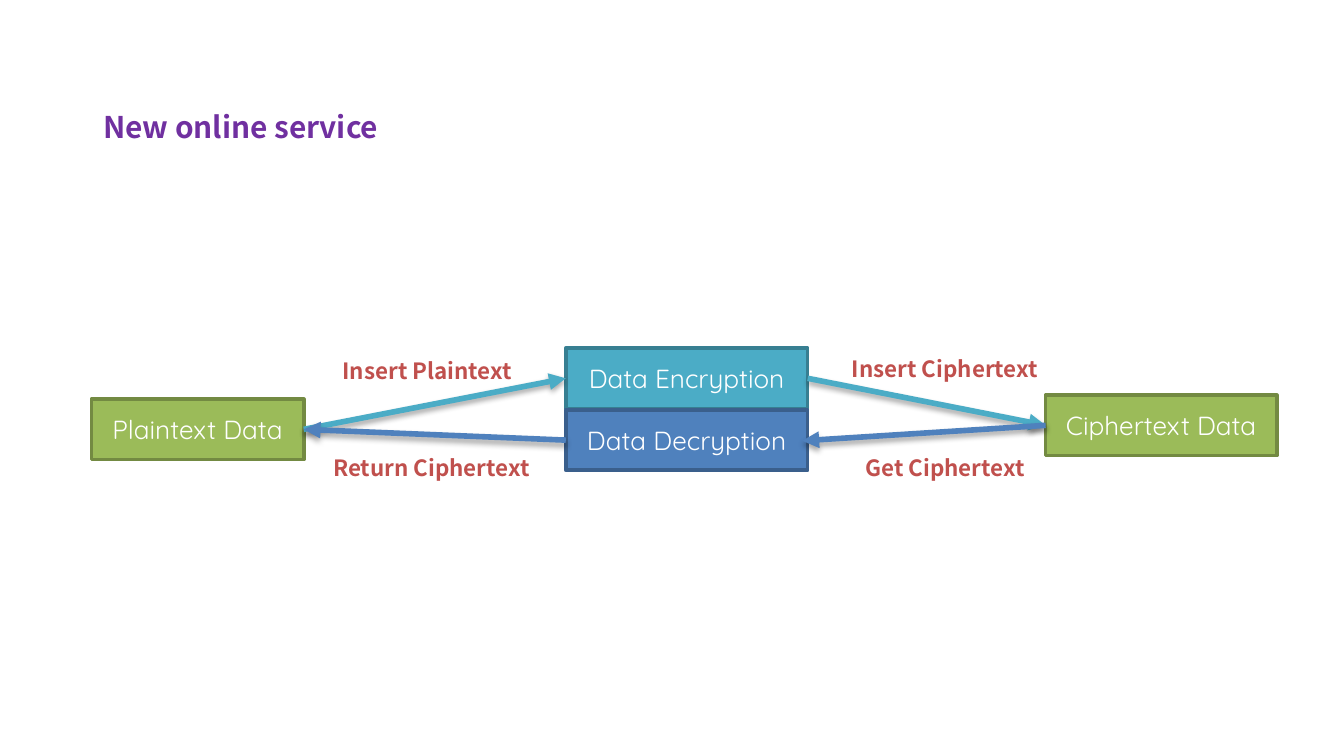
from lxml import etree
from pptx import Presentation
from pptx.dml.color import RGBColor
from pptx.enum.shapes import MSO_CONNECTOR as Connector, MSO_SHAPE as Shape
from pptx.enum.text import MSO_ANCHOR as Anchor, MSO_AUTO_SIZE as AutoSize, PP_ALIGN as Align
from pptx.oxml import parse_xml
from pptx.oxml.ns import nsdecls, qn
from pptx.util import Inches, Pt

WHITE = RGBColor(0xFF, 0xFF, 0xFF)
PURPLE = RGBColor(0x70, 0x30, 0xA0)
RED = RGBColor(0xC0, 0x50, 0x4D)
GREEN = RGBColor(0x9B, 0xBB, 0x59)
DARK_GREEN = RGBColor(0x73, 0x8A, 0x42)
TEAL = RGBColor(0x4B, 0xAC, 0xC6)
DARK_TEAL = RGBColor(0x37, 0x7F, 0x92)
BLUE = RGBColor(0x4F, 0x81, 0xBD)
DARK_BLUE = RGBColor(0x3A, 0x5F, 0x8C)

LEFT, RIGHT = 1, 3  # connection sites of a rectangle
BOX_HEIGHT = 0.45

ARROW_SHADOW = f"""<a:effectLst {nsdecls('a')}>
  <a:outerShdw blurRad="{Pt(3.1)}" dist="{Pt(1.8)}" dir="5400000" rotWithShape="0">
    <a:srgbClr val="000000"><a:alpha val="35000"/></a:srgbClr>
  </a:outerShdw>
</a:effectLst>"""


class FlowSlide:
    """The current slide and the style of its elements."""

    label_font = "Noto Sans CJK SC"
    box_font = "Quicksand"

    def __init__(self, deck):
        self.page = deck.slides.add_slide(deck.slide_layouts[6])

    def style_text(self, frame, text, font, size, color, bold=False):
        frame.text = text
        span = frame.paragraphs[0].runs[0]
        span.font.name = font
        span.font.size = Pt(size)
        span.font.bold = bold
        span.font.color.rgb = color

    def label(self, text, left, top, width, height=0.3, size=12, color=RED, wrap=False):
        box = self.page.shapes.add_textbox(
            Inches(left), Inches(top), Inches(width), Inches(height))
        frame = box.text_frame
        frame.word_wrap = wrap
        frame.auto_size = AutoSize.SHAPE_TO_FIT_TEXT
        self.style_text(frame, text, self.label_font, size, color, bold=True)

    def box(self, text, left, top, width, fill, border):
        box = self.page.shapes.add_shape(
            Shape.RECTANGLE, Inches(left), Inches(top), Inches(width), Inches(BOX_HEIGHT))
        box.shadow.inherit = False
        box.fill.solid()
        box.fill.fore_color.rgb = fill
        box.line.color.rgb = border
        box.line.width = Pt(2)
        frame = box.text_frame
        frame.vertical_anchor = Anchor.MIDDLE
        self.style_text(frame, text, self.box_font, 14, WHITE)
        frame.paragraphs[0].alignment = Align.CENTER
        return box

    def arrow(self, start, start_site, color, end=None, end_site=None, end_point=(0, 0)):
        """Join two boxes, or run from a box to a free end point."""
        arrow = self.page.shapes.add_connector(
            Connector.STRAIGHT, 0, 0, *(Inches(value) for value in end_point))
        arrow.begin_connect(start, start_site)
        if end is not None:
            arrow.end_connect(end, end_site)
        arrow.line.color.rgb = color
        arrow.line.width = Pt(3)
        etree.SubElement(arrow.line._get_or_add_ln(), qn("a:tailEnd")).set("type", "triangle")
        arrow._element.spPr.append(parse_xml(ARROW_SHADOW))


def main():
    deck = Presentation()
    deck.slide_width = Inches(10)
    deck.slide_height = deck.slide_width * 9 // 16
    slide = FlowSlide(deck)

    # Title
    slide.label("New online service", 0.67, 0.76, 2.34, 0.37, size=16, color=PURPLE)

    # Data stores and the two services between them
    plaintext = slide.box("Plaintext Data", 0.68, 2.97, 1.58, GREEN, DARK_GREEN)
    ciphertext = slide.box("Ciphertext Data", 7.78, 2.94, 1.72, GREEN, DARK_GREEN)
    encryption = slide.box("Data Encryption", 4.21, 2.59, 1.8, TEAL, DARK_TEAL)
    decryption = slide.box("Data Decryption", 4.21, 3.05, 1.8, BLUE, DARK_BLUE)

    # Encryption path, left to right
    slide.arrow(plaintext, RIGHT, TEAL, encryption, LEFT)
    slide.arrow(encryption, RIGHT, TEAL, ciphertext, LEFT)

    # Decryption path, right to left; its first arrow tip overlaps the box
    slide.arrow(decryption, LEFT, BLUE, plaintext, RIGHT)
    slide.arrow(ciphertext, LEFT, BLUE, end_point=(5.97, 3.28))

    # Step labels
    slide.label("Insert Ciphertext", 6.24, 2.59, 1.64)
    slide.label("Insert Plaintext", 2.45, 2.61, 1.49)
    slide.label("Get Ciphertext", 6.34, 3.33, 1.43, wrap=True)
    slide.label("Return Ciphertext", 2.38, 3.33, 1.72)

    deck.save("out.pptx")


if __name__ == "__main__":
    main()
